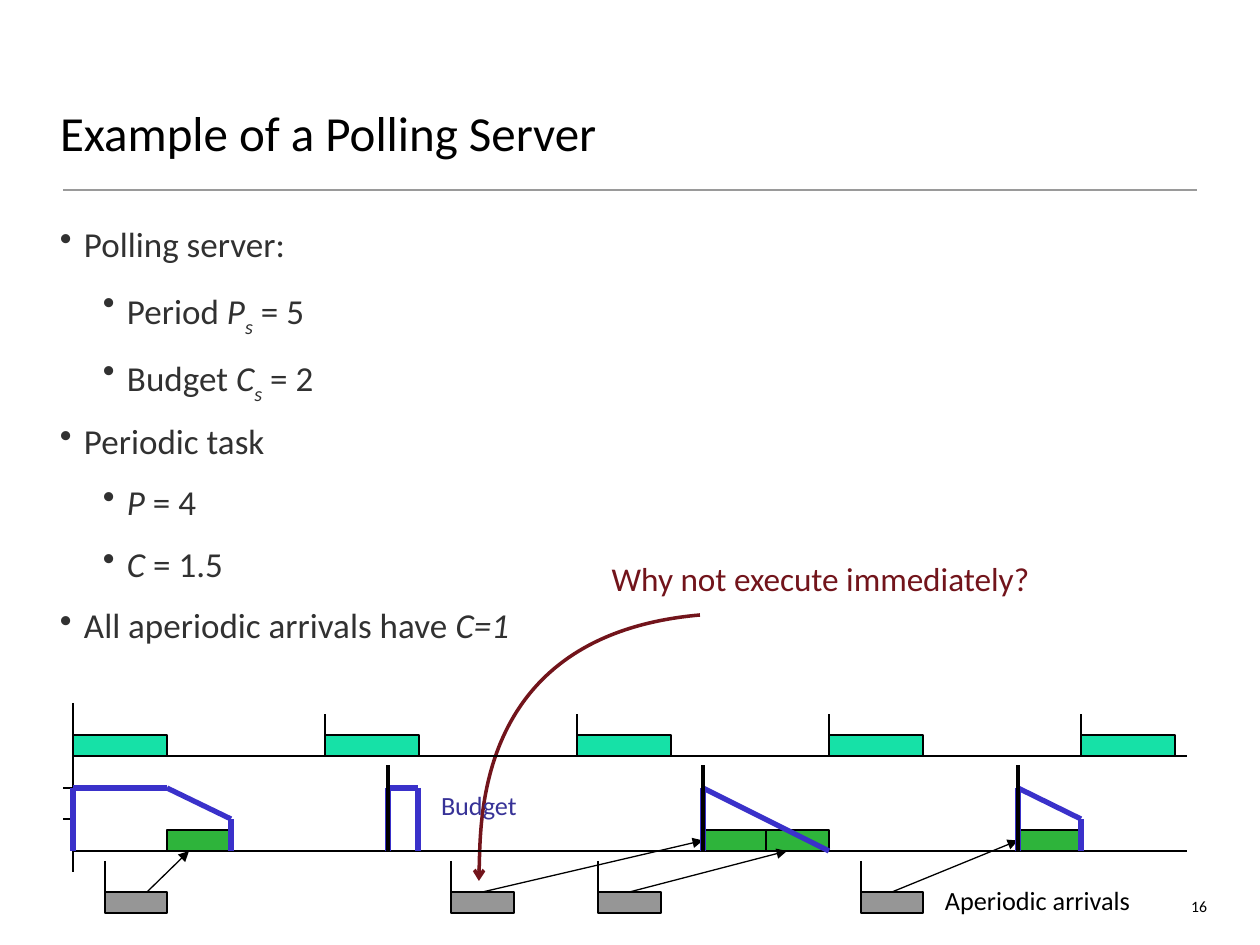
import pptx
import pptx.dml.color
import pptx.enum.shapes
import pptx.enum.text
import pptx.oxml
import pptx.oxml.ns
import pptx.util

EMU_PER_PX = 914400 / 126
FONT = "Calibri"
BLACK, BODY, MAROON, BUDGET = "000000", "313131", "72141B", "3A31CA"
PERIODIC, SERVED, ARRIVED = "16E1A7", "2EB43B", "969696"
ORIGIN, TIME_UNIT, BUDGET_UNIT = 73, 63, 31.5
PERIODIC_BASE, SERVER_BASE, ARRIVAL_TOP, JOB_HEIGHT = 756, 851, 892, 21
SERVER_FACTS = [
    (0, [("Polling server:", "")]),
    (1, [("Period ", ""), ("P", "i"), ("s", "is"), (" = 5", "")]),
    (1, [("Budget ", ""), ("C", "i"), ("s", "is"), (" = 2", "")]),
    (0, [("Periodic task", "")]),
    (1, [("P", "i"), (" = 4", "")]),
    (1, [("C", "i"), (" = 1.5", "")]),
    (0, [("All aperiodic arrivals have ", ""), ("C=1", "i")]),
]
BUDGET_TRACES = [
    [(0, 0), (0, 2), (1.5, 2), (2.5, 1), (2.5, 0)],
    [(5, 0), (5, 2), (5.48, 2), (5.48, 0)],
    [(10, 0), (10, 2), (12, 0)],
    [(15, 0), (15, 2), (16, 1), (16, 0)],
]


def px(length):
    """Turn px into EMU."""
    return pptx.util.Emu(round(length * EMU_PER_PX))


def rgb(value):
    """Turn a hex string into a colour."""
    return pptx.dml.color.RGBColor.from_string(value)


def time_x(time):
    """Give the horizontal place of a moment."""
    return ORIGIN + round(TIME_UNIT * time)


def budget_y(budget):
    """Give the vertical place of a budget level."""
    return SERVER_BASE - round(BUDGET_UNIT * budget)


def add_xml(parent, tag, **attributes):
    """Append a DrawingML element and return it."""
    child = pptx.oxml.parse_xml(f"<a:{tag} {pptx.oxml.ns.nsdecls('a')}/>")
    for name, value in attributes.items():
        child.set(name, value)
    parent.append(child)
    return child


def add_bullet(paragraph, level, color):
    """Give a paragraph a hanging bullet for its level."""
    paragraph.level = level
    properties = paragraph._p.get_or_add_pPr()
    properties.set("marL", str(px(24 + 43 * level)))
    properties.set("indent", str(px(-24)))
    add_xml(add_xml(properties, "buClr"), "srgbClr", val=color)
    add_xml(properties, "buChar", char="•")


def add_text(slide, text, box, size, color=BLACK, align="LEFT", anchor="TOP", wrap=True):
    """Add a plain string or a list of bulleted (level, runs) paragraphs."""
    frame = slide.shapes.add_textbox(*map(px, box)).text_frame
    frame.margin_left = frame.margin_right = frame.margin_top = frame.margin_bottom = 0
    frame.word_wrap = wrap
    frame.vertical_anchor = getattr(pptx.enum.text.MSO_ANCHOR, anchor)
    bulleted = not isinstance(text, str)
    for index, (level, runs) in enumerate(text if bulleted else [(0, [(text, "")])]):
        paragraph = frame.add_paragraph() if index else frame.paragraphs[0]
        paragraph.alignment = getattr(pptx.enum.text.PP_ALIGN, align)
        if bulleted:
            paragraph.line_spacing = 0.8
            paragraph.space_before = pptx.util.Pt(16 if index else 0)
            add_bullet(paragraph, level, color)
        for words, style in runs:
            run = paragraph.add_run()
            run.text = words
            run.font.name = FONT
            run.font.size = pptx.util.Pt(size)
            run.font.color.rgb = rgb(color)
            if "i" in style:
                run.font.italic = True
            if "s" in style:
                run._r.get_or_add_rPr().set("baseline", "-29000")


def add_line(slide, start, end, color=BLACK, width=0.75, arrow=False):
    """Add a straight connector between two points."""
    line = slide.shapes.add_connector(
        pptx.enum.shapes.MSO_CONNECTOR.STRAIGHT, *map(px, start + end))
    line.line.color.rgb = rgb(color)
    line.line.width = pptx.util.Pt(width)
    if arrow:
        add_xml(line.line._get_or_add_ln(), "tailEnd", type="triangle")
    add_xml(line._element.spPr, "effectLst")
    return line


def add_job(slide, time, duration, top, color):
    """Add the box of one job on the time axis."""
    left = time_x(time)
    job = slide.shapes.add_shape(
        pptx.enum.shapes.MSO_SHAPE.RECTANGLE,
        *map(px, (left, top, time_x(time + duration) - left, JOB_HEIGHT)))
    job.shadow.inherit = False
    job.fill.solid()
    job.fill.fore_color.rgb = rgb(color)
    job.line.color.rgb = rgb(BLACK)
    job.line.width = pptx.util.Pt(0.75)
    return job


def add_curve(slide, start, controls, color):
    """Add a Bezier curve with an open arrowhead at its start."""
    builder = slide.shapes.build_freeform(*start, scale=EMU_PER_PX)
    builder.add_line_segments(controls, close=False)
    curve = builder.convert_to_shape()
    curve.shadow.inherit = False
    curve.fill.background()
    curve.line.color.rgb = rgb(color)
    curve.line.width = pptx.util.Pt(2)
    add_xml(curve.line._get_or_add_ln(), "headEnd", type="arrow")
    outline = curve._element.find(".//" + pptx.oxml.ns.qn("a:path"))
    segments = outline.findall(pptx.oxml.ns.qn("a:lnTo"))
    bezier = add_xml(outline, "cubicBezTo")
    for segment in segments:
        bezier.append(segment[0])
        outline.remove(segment)


def add_periodic_task(slide):
    """Draw the axes and the periodic jobs."""
    for base in (PERIODIC_BASE, SERVER_BASE):
        add_line(slide, (ORIGIN, base), (1187, base))
    add_line(slide, (ORIGIN, 703), (ORIGIN, 872))
    for release in range(0, 17, 4):
        if release:
            add_line(slide, (time_x(release), PERIODIC_BASE), (time_x(release), 714))
        add_job(slide, release, 1.5, PERIODIC_BASE - JOB_HEIGHT, PERIODIC)


def add_aperiodic_jobs(slide):
    """Draw the arrivals, their service and the arrows between them."""
    arrivals = []
    for time in (0.5, 6, 8.33, 12.5):
        add_line(slide, (time_x(time), 861), (time_x(time), ARRIVAL_TOP))
        arrivals.append(add_job(slide, time, 1, ARRIVAL_TOP, ARRIVED))
    services = [add_job(slide, time, 1, SERVER_BASE - JOB_HEIGHT, SERVED)
                for time in (1.5, 10, 11, 15)]
    ends = [((147, ARRIVAL_TOP), (189, SERVER_BASE)), ((483, ARRIVAL_TOP), (703, 840)),
            ((630, ARRIVAL_TOP), (787, SERVER_BASE)), ((892, ARRIVAL_TOP), (1018, 840))]
    for index, (start, end) in enumerate(ends):
        arrow = add_line(slide, start, end, arrow=True)
        if index:
            arrow.begin_connect(arrivals[index], 0)
        if index in (1, 3):
            arrow.end_connect(services[index], 1)


def add_budget(slide):
    """Draw the server budget over time and the polling moments."""
    for level in (1, 2):
        add_line(slide, (ORIGIN, budget_y(level)), (63, budget_y(level)))
    for trace in BUDGET_TRACES:
        points = [(time_x(time), budget_y(budget)) for time, budget in trace]
        for start, end in zip(points, points[1:]):
            add_line(slide, start, end, color=BUDGET, width=3)
    for poll in (5, 10, 15):
        add_line(slide, (time_x(poll), SERVER_BASE), (time_x(poll), 765), width=2)


def main():
    """Build the slide and save it."""
    deck = pptx.Presentation()
    deck.slide_width, deck.slide_height = px(1260), px(945)
    slide = deck.slides.add_slide(deck.slide_layouts[6])
    add_line(slide, (63, 190), (1197, 190), color="9A9A9A")
    add_text(slide, "Example of a Polling Server", (60, 37, 1139, 124), 28, anchor="BOTTOM")
    add_text(slide, SERVER_FACTS, (60, 231, 1161, 440), 20, color=BODY)
    add_curve(slide, (479, 881), [(479, 881), (473, 635), (700, 615)], MAROON)
    add_text(slide, "Why not execute immediately?", (609, 558, 423, 40), 19,
             color=MAROON, align="CENTER", anchor="BOTTOM", wrap=False)
    add_periodic_task(slide)
    add_aperiodic_jobs(slide)
    add_budget(slide)
    add_text(slide, "Budget", (441, 789, 84, 30), 15, color="373297")
    add_text(slide, "Aperiodic arrivals", (945, 884, 200, 30), 15)
    add_text(slide, "16", (1177, 897, 30, 20), 9, align="RIGHT")
    deck.save("out.pptx")


if __name__ == "__main__":
    main()
